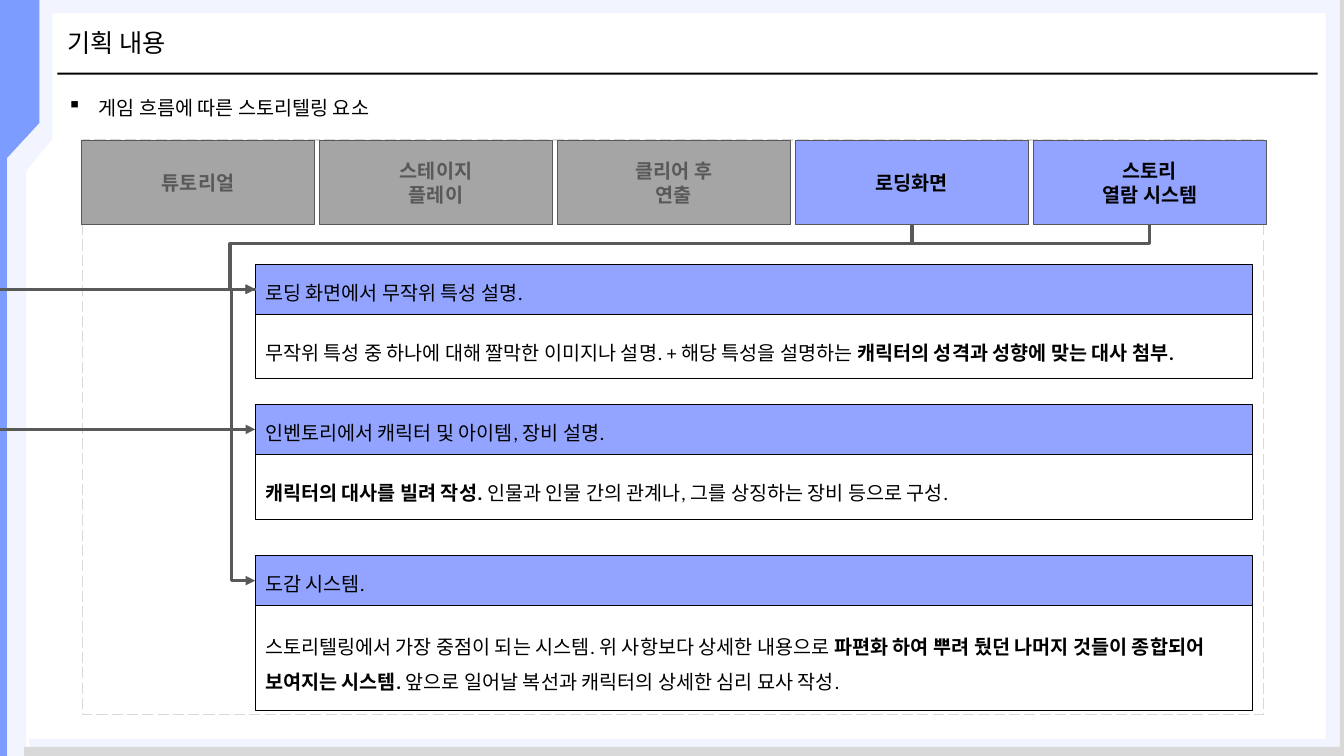
"""Build the slide on storytelling elements along the game flow."""
from dataclasses import dataclass
from typing import Optional

from lxml.etree import SubElement
from pptx import Presentation
from pptx.dml.color import RGBColor
from pptx.enum.dml import MSO_LINE
from pptx.enum.shapes import MSO_CONNECTOR, MSO_SHAPE
from pptx.enum.text import MSO_ANCHOR, PP_ALIGN
from pptx.oxml.ns import qn
from pptx.shapes.autoshape import Shape
from pptx.shapes.connector import Connector
from pptx.slide import Slide
from pptx.util import Inches, Pt

BLACK = RGBColor(0x00, 0x00, 0x00)
WHITE = RGBColor(0xFF, 0xFF, 0xFF)
PALE = RGBColor(0xF2, 0xF5, 0xFF)
BLUE = RGBColor(0x7D, 0x9C, 0xFF)
ACCENT = RGBColor(0x92, 0xA4, 0xFF)
GRAY = RGBColor(0xA5, 0xA5, 0xA5)
DARK = RGBColor(0x59, 0x59, 0x59)
LIGHT = RGBColor(0xD9, 0xD9, 0xD9)

LATIN, KOREAN = "Calibri", "Noto Sans CJK KR"
TOP, LEFT, BOTTOM = 0, 1, 2
STEP_LEFT, STEP_TOP, STEP_PITCH = 0.81, 1.39, 2.36
STEP_WIDTH, STEP_HEIGHT = 2.31, 0.84
PANEL_LEFT, PANEL_WIDTH, HEADER_HEIGHT = 2.53, 9.89, 0.5
BEND_RISE, BEND_GAP = 0.19, 0.25

BODY_FORMAT = {"line_spacing": 1.5, "alignment": PP_ALIGN.LEFT}
TITLE_FORMAT = {"line_spacing": 0.9, "alignment": PP_ALIGN.LEFT}
STEP_FORMAT = {"alignment": PP_ALIGN.CENTER}


@dataclass(frozen=True)
class Box:
    left: float
    top: float
    width: float
    height: float


@dataclass(frozen=True)
class Decor:
    box: Box
    fill: RGBColor
    triangle: bool = False


@dataclass(frozen=True)
class Run:
    text: str
    bold: bool = False


@dataclass(frozen=True)
class Step:
    lines: tuple[str, ...]
    active: bool = False


@dataclass(frozen=True)
class Panel:
    top: float
    body_height: float
    heading: str
    body: tuple[Run, ...]
    from_edge: bool = False


DECORS = (
    Decor(Box(0.52, 0, 12.81, 0.13), PALE),
    Decor(Box(0.57, 0.72, 12.5, 0.02), BLACK),
    Decor(Box(13.15, 0.02, 0.18, 7.33), PALE),
    Decor(Box(0, 1.36, 0.26, 6.14), PALE),
    Decor(Box(0.07, 1.39, 0.44, 0.54), PALE, triangle=True),
    Decor(Box(0.07, 0, 0.45, 1.39), PALE),
    Decor(Box(0.29, 7.33, 13.04, 0.17), PALE),
    Decor(Box(0.07, 0, 0.32, 1.22), BLUE),
    Decor(Box(0.04, 1.22, 0.35, 0.38), BLUE, triangle=True),
    Decor(Box(0, 0, 0.07, 7.5), BLUE),
    Decor(Box(13.29, 0, 0.04, 7.48), LIGHT),
    Decor(Box(0.24, 7.41, 13.09, 0.09), LIGHT),
)
STEPS = (
    Step(("튜토리얼",)),
    Step(("스테이지", "플레이")),
    Step(("클리어 후", "연출")),
    Step(("로딩화면",), active=True),
    Step(("스토리", "열람 시스템"), active=True),
)
PANELS = (
    Panel(2.62, 0.64, "로딩 화면에서 무작위 특성 설명.", (
        Run("무작위 특성 중 하나에 대해 짤막한 이미지나 설명. + 해당 특성을 설명하는 "),
        Run("캐릭터의 성격과 성향에 맞는 대사 첨부.", True)), from_edge=True),
    Panel(4.01, 0.64, "인벤토리에서 캐릭터 및 아이템, 장비 설명.", (
        Run("캐릭터의 대사를 빌려 작성. ", True),
        Run("인물과 인물 간의 관계나, 그를 상징하는 장비 등으로 구성.")), from_edge=True),
    Panel(5.51, 1.04, "도감 시스템.", (
        Run("스토리텔링에서 가장 중점이 되는 시스템. 위 사항보다 상세한 내용으로 "),
        Run("파편화 하여 뿌려 뒀던 나머지 것들이 종합되어 보여지는 시스템.", True),
        Run(" 앞으로 일어날 복선과 캐릭터의 상세한 심리 묘사 작성."))),
)


def apply(target: object, values: dict) -> None:
    for name, value in values.items():
        setattr(target, name, value)


def place(box: Box) -> dict:
    return {"left": Inches(box.left), "top": Inches(box.top),
            "width": Inches(box.width), "height": Inches(box.height)}


def add_box(slide: Slide, box: Box, fill: Optional[RGBColor], line: Optional[RGBColor] = None,
            weight: float = 0.75, kind: MSO_SHAPE = MSO_SHAPE.RECTANGLE) -> Shape:
    shape = slide.shapes.add_shape(kind, **place(box))
    shape.shadow.inherit = False
    if fill is None:
        shape.fill.background()
    else:
        shape.fill.solid()
        shape.fill.fore_color.rgb = fill
    if line is None:
        shape.line.fill.background()
    else:
        shape.line.color.rgb = line
        shape.line.width = Pt(weight)
    return shape


def write(shape: Shape, paragraphs: tuple[tuple[Run, ...], ...], layout: dict, size: float = 14,
          color: RGBColor = BLACK, font: str = LATIN, anchor: MSO_ANCHOR = MSO_ANCHOR.MIDDLE,
          bullet: str = "") -> None:
    frame = shape.text_frame
    apply(frame, {"word_wrap": True, "vertical_anchor": anchor})
    for index, runs in enumerate(paragraphs):
        paragraph = frame.add_paragraph() if index else frame.paragraphs[0]
        if bullet:
            properties = paragraph._p.get_or_add_pPr()
            properties.set("marL", str(Inches(0.31)))
            properties.set("indent", str(-Inches(0.31)))
            SubElement(properties, qn("a:buChar")).set("char", bullet)
        apply(paragraph, layout)
        for part in runs:
            run = paragraph.add_run()
            run.text = part.text
            apply(run.font, {"name": font, "size": Pt(size), "bold": part.bold})
            run.font.color.rgb = color
            SubElement(run._r.get_or_add_rPr(), qn("a:ea")).set("typeface", KOREAN)


def add_arrow(slide: Slide, kind: MSO_CONNECTOR, start: Optional[tuple[Shape, int]],
              target: Shape, y: float = 0) -> Connector:
    arrow = slide.shapes.add_connector(kind, 0, Inches(y), Inches(PANEL_LEFT), Inches(y))
    if start:
        arrow.begin_connect(*start)
    arrow.end_connect(target, LEFT)
    arrow.line.color.rgb = DARK
    arrow.line.width = Pt(2.25)
    SubElement(arrow.line._get_or_add_ln(), qn("a:tailEnd")).set("type", "triangle")
    SubElement(arrow._element.spPr, qn("a:effectLst"))
    return arrow


def bend(arrow: Connector, box: Box, preset: str, turn: dict[str, str],
         adjustments: dict[str, float]) -> None:
    apply(arrow, place(box))
    transform = arrow._element.spPr.find(qn("a:xfrm"))
    for name in ("rot", "flipH", "flipV"):
        transform.attrib.pop(name, None)
    for name, value in turn.items():
        transform.set(name, value)
    geometry = arrow._element.spPr.find(qn("a:prstGeom"))
    geometry.set("prst", preset)
    for name, ratio in adjustments.items():
        guide = SubElement(geometry.find(qn("a:avLst")), qn("a:gd"))
        guide.set("name", name)
        guide.set("fmla", f"val {round(ratio * 100000)}")


def main() -> None:
    deck = Presentation()
    apply(deck, {"slide_width": Inches(13.33), "slide_height": Inches(7.5)})
    slide = deck.slides.add_slide(deck.slide_layouts[6])

    flow_frame = add_box(slide, Box(0.82, 1.39, 11.71, 5.7), WHITE, LIGHT, 1)
    flow_frame.line.dash_style = MSO_LINE.LONG_DASH
    for decor in DECORS:
        kind = MSO_SHAPE.RIGHT_TRIANGLE if decor.triangle else MSO_SHAPE.RECTANGLE
        edge = add_box(slide, decor.box, decor.fill, kind=kind)
        if decor.triangle:
            edge._element.spPr.find(qn("a:xfrm")).set("flipV", "1")

    title = slide.shapes.add_textbox(**place(Box(0.57, 0.13, 11.84, 0.61)))
    write(title, ((Run("기획 내용"),),), TITLE_FORMAT, size=18)
    topic = slide.shapes.add_textbox(**place(Box(0.57, 0.76, 11.84, 0.49)))
    write(topic, ((Run("게임 흐름에 따른 스토리텔링 요소"),),), BODY_FORMAT, bullet="▪")

    step_boxes = []
    for index, step in enumerate(STEPS):
        box = Box(STEP_LEFT + index * STEP_PITCH, STEP_TOP, STEP_WIDTH, STEP_HEIGHT)
        step_box = add_box(slide, box, ACCENT if step.active else GRAY, DARK)
        write(step_box, tuple((Run(line, True),) for line in step.lines), STEP_FORMAT,
              color=BLACK if step.active else DARK, font=KOREAN)
        step_boxes.append(step_box)

    headers = []
    for panel in PANELS:
        header = add_box(slide, Box(PANEL_LEFT, panel.top, PANEL_WIDTH, HEADER_HEIGHT), ACCENT, BLACK)
        write(header, ((Run(panel.heading),),), BODY_FORMAT, anchor=MSO_ANCHOR.TOP)
        body = add_box(slide, Box(PANEL_LEFT, panel.top + HEADER_HEIGHT, PANEL_WIDTH,
                                  panel.body_height), None, BLACK)
        write(body, (panel.body,), BODY_FORMAT)
        headers.append(header)
        if panel.from_edge:
            add_arrow(slide, MSO_CONNECTOR.STRAIGHT, None, header, panel.top + HEADER_HEIGHT / 2)

    step_bottom = STEP_TOP + STEP_HEIGHT
    first_middle, last_middle = (PANELS[i].top + HEADER_HEIGHT / 2 for i in (0, -1))
    drop = first_middle - step_bottom
    for index, step in enumerate(STEPS):
        if step.active:
            run_length = STEP_LEFT + index * STEP_PITCH + STEP_WIDTH / 2 - PANEL_LEFT
            box = Box(PANEL_LEFT + (run_length - drop) / 2, step_bottom + (drop - run_length) / 2,
                      drop, run_length)
            arrow = add_arrow(slide, MSO_CONNECTOR.ELBOW, (step_boxes[index], BOTTOM), headers[0])
            bend(arrow, box, "bentConnector4", {"rot": "5400000"},
                 {"adj1": BEND_RISE / drop, "adj2": 1 + BEND_GAP / run_length})
    arrow = add_arrow(slide, MSO_CONNECTOR.ELBOW, (headers[0], LEFT), headers[-1])
    bend(arrow, Box(PANEL_LEFT, first_middle, 0.01, last_middle - first_middle), "bentConnector3",
         {"rot": "10800000", "flipV": "1"}, {"adj1": BEND_GAP / 0.01})
    deck.save("out.pptx")


if __name__ == "__main__":
    main()
